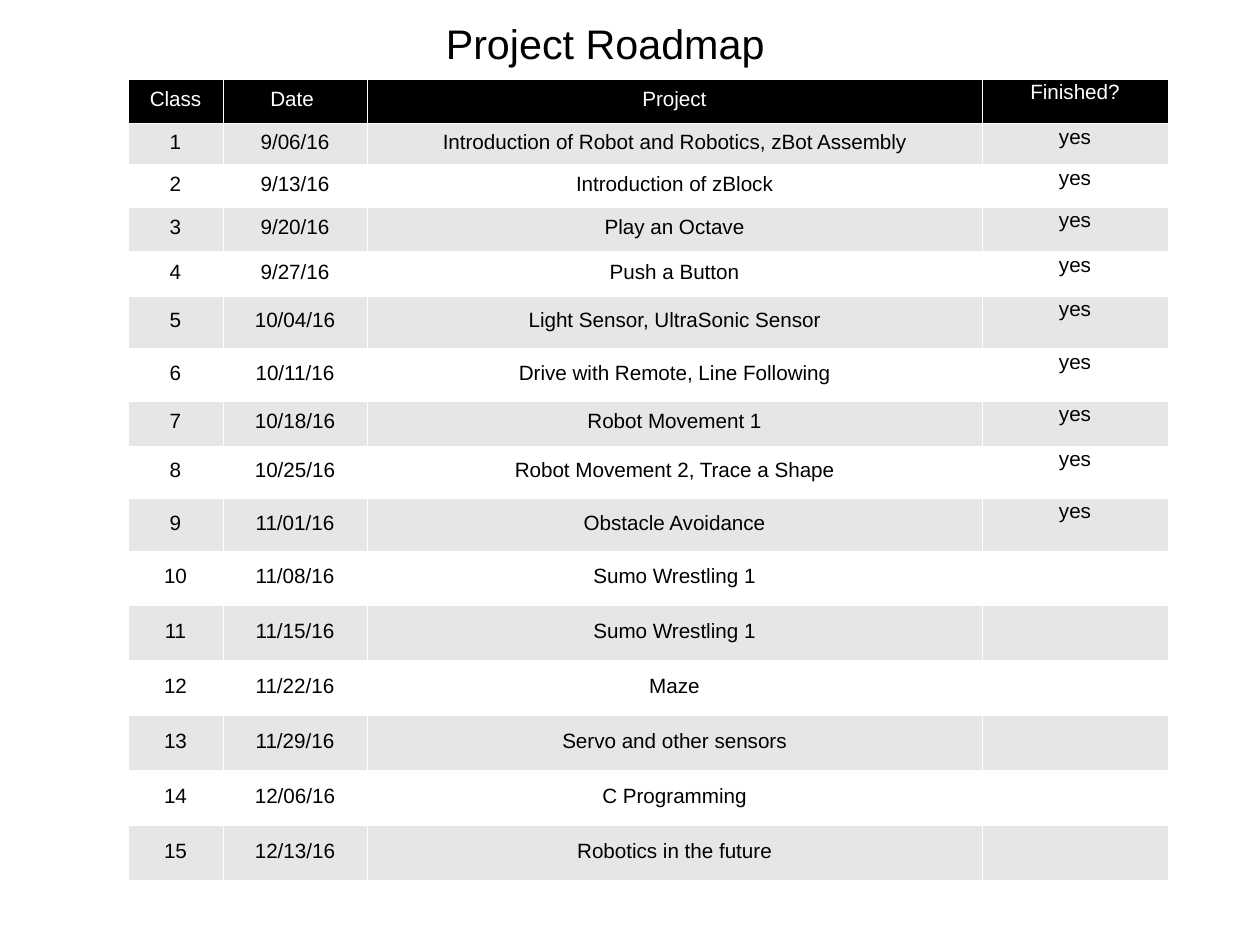
from pptx import Presentation
from pptx.dml.color import RGBColor as Rgb
from pptx.enum.text import MSO_ANCHOR as Anchor, PP_ALIGN as Align
from pptx.oxml import parse_xml
from pptx.oxml.ns import nsdecls
from pptx.util import Inches, Pt

COLORS = {"black": "000000", "white": "FFFFFF", "gray": "E6E6E6"}
# The page is 28 by 21 centimetres, and 127 cm make 50 inches
CM = Inches(50) // 127
HEADS = ["Class", "Date ", "Project", "Finished?"]
# Date, project and row height of each class
PLAN = [
    ("9/06/16", "Introduction of Robot and Robotics, zBot Assembly", 0.36),
    ("9/13/16", "Introduction of zBlock", 0.37),
    ("9/20/16", "Play an Octave", 0.39),
    ("9/27/16", "Push a Button", 0.39),
    ("10/04/16", "Light Sensor, UltraSonic Sensor", 0.46),
    ("10/11/16", "Drive with Remote, Line Following", 0.46),
    ("10/18/16", "Robot Movement 1", 0.39),
    ("10/25/16", "Robot Movement 2, Trace a Shape", 0.46),
    ("11/01/16", "Obstacle Avoidance", 0.46),
    ("11/08/16", "Sumo Wrestling 1", 0.48),
    ("11/15/16", "Sumo Wrestling 1", 0.48),
    ("11/22/16", "Maze", 0.48),
    ("11/29/16", "Servo and other sensors", 0.48),
    ("12/06/16", "C Programming", 0.48),
    ("12/13/16", "Robotics in the future", 0.48),
]
DONE = 9
HEAD_H = 0.39
WIDTHS = [0.83, 1.26, 5.38, 1.63]


def put_text(frame, text, size=13, color="black", align=Align.CENTER,
             space=0.81):
    para = frame.paragraphs[0]
    para.alignment = align
    para.line_spacing = space
    run = para.add_run()
    run.text = text
    run.font.name = "Arial"
    run.font.size = Pt(size)
    run.font.color.rgb = Rgb.from_string(COLORS[color])


def add_title(slide):
    title = slide.shapes.title
    title.left, title.top = Inches(3.9), Inches(-0.01)
    title.width, title.height = Inches(2.9), Inches(0.79)
    frame = title.text_frame
    frame.word_wrap = True
    frame.vertical_anchor = Anchor.MIDDLE
    frame.margin_left = frame.margin_right = frame.margin_bottom = 0
    frame.margin_top = Inches(0.03)
    put_text(frame, "Project Roadmap", size=26, align=Align.LEFT, space=0.93)


def set_edges(cell):
    props = cell._tc.get_or_add_tcPr()
    for spot, side in enumerate(("lnL", "lnR", "lnT", "lnB")):
        props.insert(spot, parse_xml(
            f'<a:{side} {nsdecls("a")} w="{Pt(0.06)}"><a:solidFill>'
            f'<a:srgbClr val="{COLORS["white"]}"/></a:solidFill></a:{side}>'))


def fill_cell(cell, text, fill, color, anchor):
    cell.fill.solid()
    cell.fill.fore_color.rgb = Rgb.from_string(COLORS[fill])
    cell.vertical_anchor = anchor
    set_edges(cell)
    if text:
        put_text(cell.text_frame, text, color=color)


def add_plan(slide):
    rows = [HEADS] + [
        [str(num), date, name, "yes" if num <= DONE else ""]
        for num, (date, name, _) in enumerate(PLAN, 1)]
    highs = [HEAD_H] + [high for *_, high in PLAN]
    table = slide.shapes.add_table(
        len(rows), len(WIDTHS), Inches(1.12), Inches(0.69),
        Inches(sum(WIDTHS)), Inches(sum(highs))).table
    for col, width in zip(table.columns, WIDTHS):
        col.width = Inches(width)
    for r, (row, high) in enumerate(zip(rows, highs)):
        table.rows[r].height = Inches(high)
        # Black header, then gray and white bands
        fill = "black" if r == 0 else "gray" if r % 2 else "white"
        color = "black" if r else "white"
        for c, text in enumerate(row):
            anchor = Anchor.TOP if c == 3 else Anchor.MIDDLE
            fill_cell(table.cell(r, c), text, fill, color, anchor)


def main():
    deck = Presentation()
    deck.slide_width, deck.slide_height = 28 * CM, 21 * CM
    slide = deck.slides.add_slide(deck.slide_layouts[5])
    add_title(slide)
    add_plan(slide)
    deck.save("out.pptx")


if __name__ == "__main__":
    main()
